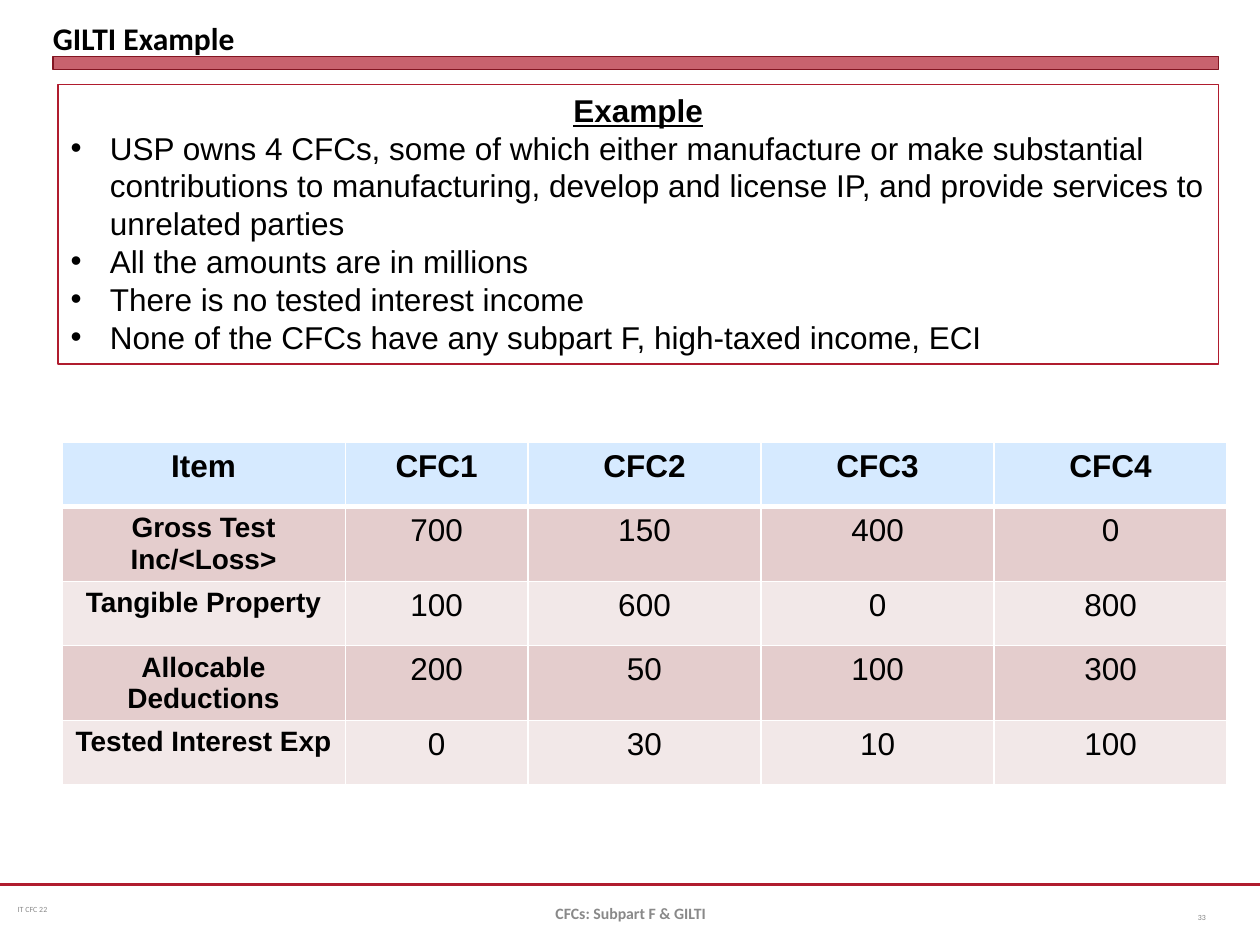
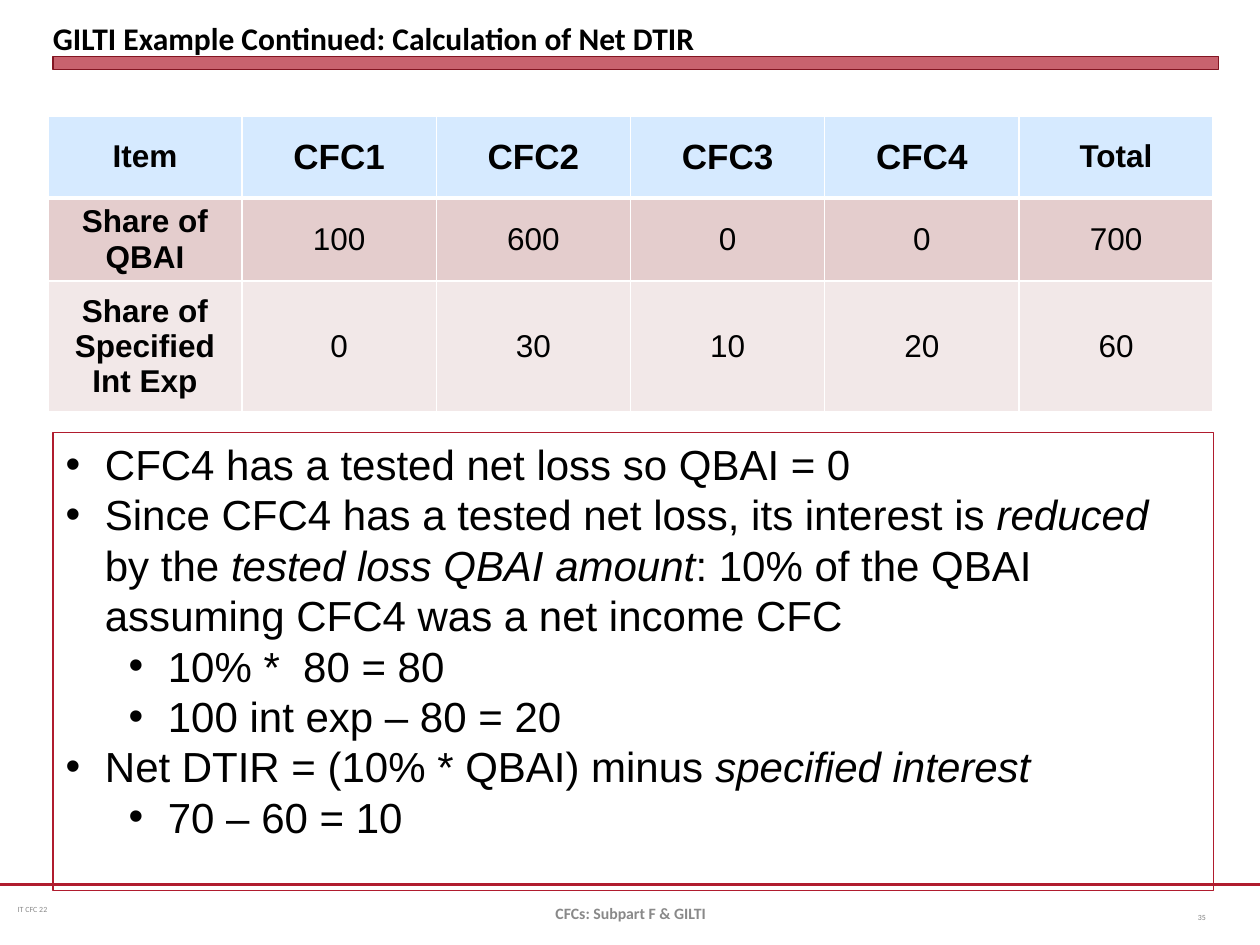
"""Build two slides on a GILTI example with tables, bullet boxes and shared bands."""
from dataclasses import dataclass

from lxml import etree
from pptx import Presentation
from pptx import util as u
from pptx.dml import color as c
from pptx.enum import shapes, text
from pptx.oxml import ns

Pt = u.Pt
BLACK, WHITE, GREY, PAGE_GREY = "000000", "FFFFFF", "898989", "808080"
RED, DARK_RED = "B01C2E", "821522"
HEADER_BLUE = "D6EAFF"
BANDS = ("E4CDCD", "F2E8E8")
PAGE_WIDTH, PAGE_HEIGHT = 720, 540
BAND_LEFT, BAND_WIDTH = 30.24, 666
FOOTER_TOP = 505.44
BULLET_HANG, LEVEL_STEP = 22.5, 36
LEFT, CENTER, RIGHT = text.PP_ALIGN.LEFT, text.PP_ALIGN.CENTER, text.PP_ALIGN.RIGHT
TOP, MIDDLE, BOTTOM = text.MSO_ANCHOR.TOP, text.MSO_ANCHOR.MIDDLE, text.MSO_ANCHOR.BOTTOM


@dataclass
class Area:
    left: float
    top: float
    width: float
    height: float

    def lengths(self):
        return [Pt(value) for value in (self.left, self.top, self.width, self.height)]


@dataclass
class Grid:
    left: float
    top: float
    columns: list[float]
    heights: list[float]
    rows: list[list[str]]
    cfc_size: float
    label_size: float
    anchor: text.MSO_ANCHOR


@dataclass
class Bullet:
    words: str
    level: int = 0


@dataclass
class Notes:
    area: Area
    size: float
    bullets: list[Bullet]
    heading: str = ""


@dataclass
class Footer:
    words: str
    area: Area
    size: float
    color: str = GREY
    align: text.PP_ALIGN = LEFT
    bold: bool = False
    margins: tuple[float, float] = (7.2, 3.6)


@dataclass
class Page:
    title: str
    number: int
    grid: Grid
    notes: Notes


def rgb(value: str) -> c.RGBColor:
    return c.RGBColor.from_string(value)


def write(para, words: str, *, size: float, font="Arial", color=BLACK, bold=False,
          italic=False, underline=False, align=LEFT) -> None:
    para.alignment = align
    span = para.add_run()
    span.text = words
    style = span.font
    style.name, style.size, style.bold = font, Pt(size), bold
    style.italic, style.underline = italic, underline
    style.color.rgb = rgb(color)


def set_frame(frame, anchor, margins=(7.2, 3.6)) -> None:
    frame.word_wrap = True
    frame.auto_size = text.MSO_AUTO_SIZE.NONE
    frame.vertical_anchor = anchor
    frame.margin_left = frame.margin_right = Pt(margins[0])
    frame.margin_top = frame.margin_bottom = Pt(margins[1])


def place(shape, area: Area) -> None:
    shape.left, shape.top, shape.width, shape.height = area.lengths()


def draw_title(page, words: str) -> None:
    title = page.shapes.title
    place(title, Area(BAND_LEFT, 3.6, BAND_WIDTH, 28.8))
    set_frame(title.text_frame, BOTTOM, (0, 0))
    write(title.text_frame.paragraphs[0], words, size=18, font="Calibri", bold=True)


def draw_bands(page) -> None:
    bar = page.shapes.add_shape(shapes.MSO_SHAPE.RECTANGLE,
                                *Area(BAND_LEFT, 32.4, BAND_WIDTH, 7.2).lengths())
    bar.shadow.inherit = False
    bar.fill.solid()
    bar.fill.fore_color.rgb = rgb(RED)
    tint = bar._element.spPr.find(ns.qn("a:solidFill"))[0]
    etree.SubElement(tint, ns.qn("a:alpha"), val="69000")
    bar.line.color.rgb = rgb(DARK_RED)
    bar.line.width = Pt(0)
    rule = page.shapes.add_connector(shapes.MSO_CONNECTOR.STRAIGHT, Pt(0), Pt(FOOTER_TOP),
                                     Pt(PAGE_WIDTH), Pt(FOOTER_TOP))
    rule.line.color.rgb = rgb(RED)
    rule.line.width = Pt(1.25)
    etree.SubElement(rule._element.spPr, ns.qn("a:effectLst"))


def draw_footer(page, footer: Footer) -> None:
    box = page.shapes.add_textbox(*footer.area.lengths())
    set_frame(box.text_frame, MIDDLE, footer.margins)
    write(box.text_frame.paragraphs[0], footer.words, size=footer.size, font="Calibri",
          color=footer.color, bold=footer.bold, align=footer.align)


def set_border(cell, side: str, width: float) -> None:
    border = etree.SubElement(cell._tc.get_or_add_tcPr(), ns.qn(f"a:ln{side}"),
                              w=str(Pt(width)))
    fill = etree.SubElement(border, ns.qn("a:solidFill"))
    etree.SubElement(fill, ns.qn("a:srgbClr"), val=WHITE)


def draw_grid(page, grid: Grid) -> None:
    area = Area(grid.left, grid.top, sum(grid.columns), sum(grid.heights))
    table = page.shapes.add_table(len(grid.rows), len(grid.columns), *area.lengths()).table
    for column, width in zip(table.columns, grid.columns):
        column.width = Pt(width)
    for r, (row, height) in enumerate(zip(grid.rows, grid.heights)):
        table.rows[r].height = Pt(height)
        for n, words in enumerate(row):
            cell = table.cell(r, n)
            widths = {"L": 1, "R": 1, "T": 3 if r == 1 else 1, "B": 3 if r == 0 else 1}
            for side, width in widths.items():
                set_border(cell, side, width)
            cell.fill.solid()
            cell.fill.fore_color.rgb = rgb(BANDS[(r - 1) % 2] if r else HEADER_BLUE)
            cell.vertical_anchor = grid.anchor
            size = 18
            if r and n == 0:
                size = grid.label_size
            elif words.startswith("CFC"):
                size = grid.cfc_size
            write(cell.text_frame.paragraphs[0], words, size=size,
                  bold=r == 0 or n == 0, align=CENTER)


def set_indent(para, left: float, hang: float, mark: str = "") -> None:
    para.space_before = Pt(0)
    props = para._p.get_or_add_pPr()
    props.set("marL", str(Pt(left)))
    props.set("indent", str(Pt(-hang)))
    if mark:
        etree.SubElement(props, ns.qn("a:buFont"), typeface="Arial")
        etree.SubElement(props, ns.qn("a:buChar"), char=mark)
    else:
        etree.SubElement(props, ns.qn("a:buNone"))


def draw_notes(page, notes: Notes) -> None:
    box = page.placeholders[1]
    place(box, notes.area)
    box.line.color.rgb = rgb(RED)
    box.line.width = Pt(0.75)
    frame = box.text_frame
    set_frame(frame, TOP)
    para = frame.paragraphs[0]
    if notes.heading:
        set_indent(para, 0, 0)
        write(para, notes.heading, size=notes.size, bold=True, underline=True, align=CENTER)
    for n, bullet in enumerate(notes.bullets):
        if n or notes.heading:
            para = frame.add_paragraph()
        para.level = bullet.level
        set_indent(para, BULLET_HANG + LEVEL_STEP * bullet.level, BULLET_HANG, "•")
        for part, words in enumerate(bullet.words.split("_")):
            if words:
                write(para, words, size=notes.size, italic=part % 2 == 1)


FOOTERS = [
    Footer("IT CFC 22", Area(5.76, FOOTER_TOP, 185.76, 28.8), 4.5, margins=(4.32, 2.16)),
    Footer("CFCs: Subpart F & GILTI", Area(246.24, 507.6, 228.24, 28.8), 9,
           align=CENTER, bold=True),
]

PAGES = [
    Page(
        "GILTI Example", 33,
        Grid(35.28, 252.72, [162, 104.4] + [133.2] * 3, [36.72] * 5, [
            ["Item", "CFC1", "CFC2", "CFC3", "CFC4"],
            ["Gross Test Inc/<Loss>", "700", "150", "400", "0"],
            ["Tangible Property", "100", "600", "0", "800"],
            ["Allocable Deductions", "200", "50", "100", "300"],
            ["Tested Interest Exp", "0", "30", "10", "100"],
        ], cfc_size=18, label_size=16, anchor=TOP),
        Notes(Area(33.12, 48.24, 663.12, 159.84), 18, [
            Bullet("USP owns 4 CFCs, some of which either manufacture or make substantial "
                   "contributions to manufacturing, develop and license IP, and provide "
                   "services to unrelated parties"),
            Bullet("All the amounts are in millions"),
            Bullet("There is no tested interest income"),
            Bullet("None of the CFCs have any subpart F, high-taxed income, ECI"),
        ], heading="Example"),
    ),
    Page(
        "GILTI Example Continued: Calculation of Net DTIR", 35,
        Grid(27.36, 66.24, [111] * 6, [46.8, 46.8, 74.88], [
            ["Item", "CFC1", "CFC2", "CFC3", "CFC4", "Total"],
            ["Share of QBAI", "100", "600", "0", "0", "700"],
            ["Share of Specified Int Exp", "0", "30", "10", "20", "60"],
        ], cfc_size=20, label_size=18, anchor=MIDDLE),
        Notes(Area(30.24, 246.96, 663.12, 262.08), 24, [
            Bullet("CFC4 has a tested net loss so QBAI = 0"),
            Bullet("Since CFC4 has a tested net loss, its interest is _reduced _by the "
                   "_tested loss QBAI amount_: 10% of the QBAI assuming CFC4 was a net "
                   "income CFC"),
            Bullet("10% *  80 = 80", 1),
            Bullet("100 int exp – 80 = 20", 1),
            Bullet("Net DTIR = (10% * QBAI) minus _specified interest_"),
            Bullet("70 – 60 = 10", 1),
        ]),
    ),
]


def main() -> None:
    deck = Presentation()
    deck.slide_width, deck.slide_height = Pt(PAGE_WIDTH), Pt(PAGE_HEIGHT)
    for content in PAGES:
        page = deck.slides.add_slide(deck.slide_layouts[1])
        draw_bands(page)
        draw_title(page, content.title)
        draw_grid(page, content.grid)
        draw_notes(page, content.notes)
        number = Footer(str(content.number), Area(660.24, 509.76, 36, 28.8), 4.5,
                        PAGE_GREY, RIGHT)
        for footer in [*FOOTERS, number]:
            draw_footer(page, footer)
    deck.save("out.pptx")


if __name__ == "__main__":
    main()
